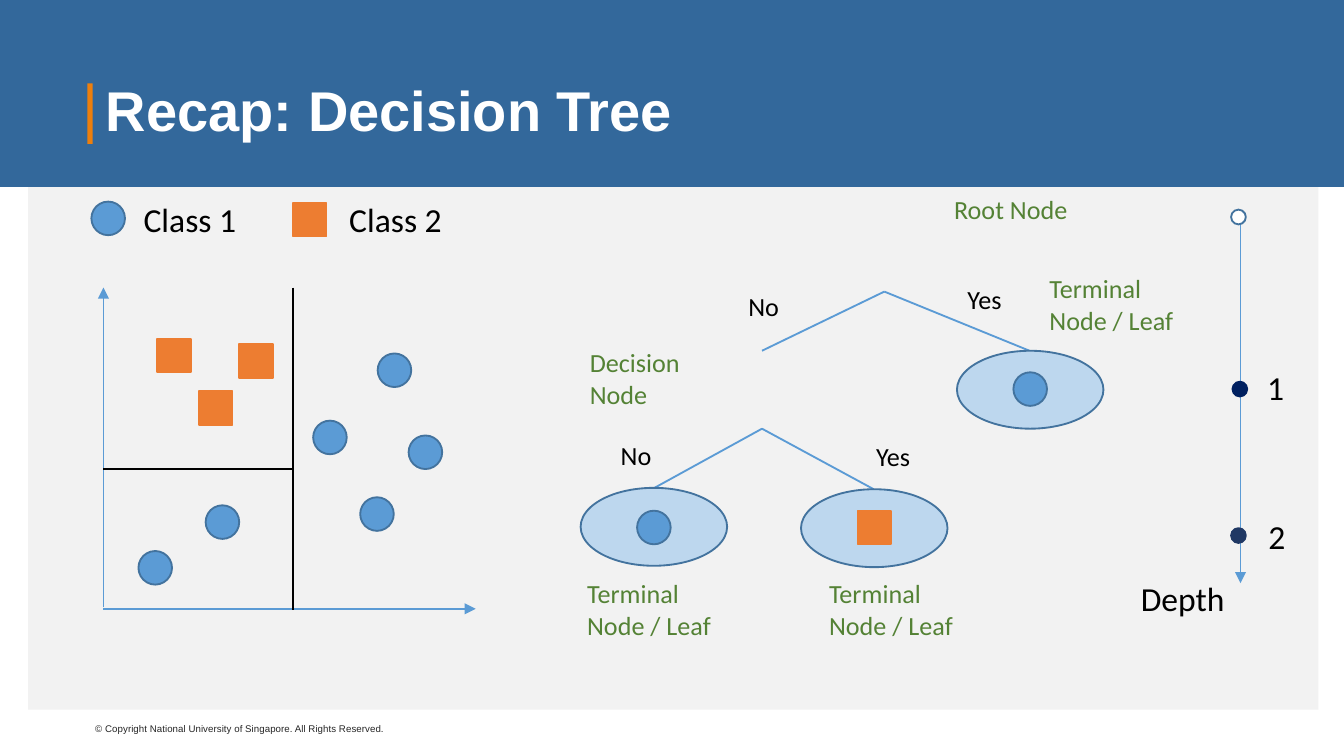
from typing import NamedTuple

from lxml import etree
from pptx import Presentation
from pptx import util as u
from pptx.dml.color import RGBColor
from pptx.enum import shapes, text
from pptx.oxml import ns

WHITE = RGBColor(0xFF, 0xFF, 0xFF)
BLACK = RGBColor(0x00, 0x00, 0x00)
CHARCOAL = RGBColor(0x26, 0x26, 0x26)
PANEL_GREY = RGBColor(0xF2, 0xF2, 0xF2)
BANNER_BLUE = RGBColor(0x33, 0x68, 0x9B)
ACCENT_ORANGE = RGBColor(0xED, 0x7F, 0x0D)
BLUE = RGBColor(0x5B, 0x9B, 0xD5)
OUTLINE_BLUE = RGBColor(0x43, 0x73, 0x9E)
PALE_BLUE = RGBColor(0xBD, 0xD7, 0xEE)
ORANGE = RGBColor(0xED, 0x7D, 0x31)
GREEN = RGBColor(0x54, 0x82, 0x35)
NAVY = RGBColor(0x00, 0x20, 0x60)
DARK_BLUE = RGBColor(0x20, 0x38, 0x64)

OVAL = shapes.MSO_SHAPE.OVAL
RECTANGLE = shapes.MSO_SHAPE.RECTANGLE
SLIDE_WIDTH = 10
MARKER_SIZE = 0.25
DEPTH_DOT_SIZE = 0.11
LEAF_WIDTH, LEAF_HEIGHT = 1.09, 0.58


class Box(NamedTuple):
    left: float
    top: float
    width: float
    height: float


class Style(NamedTuple):
    kind: shapes.MSO_SHAPE
    fill: RGBColor
    outline: RGBColor | None = None


class Label(NamedTuple):
    words: str
    box: Box
    size: float = 14
    color: RGBColor = BLACK
    wrap: bool = True
    font: str = "Calibri"
    bold: bool = False


class Line(NamedTuple):
    start: tuple[float, float]
    end: tuple[float, float]
    color: RGBColor = BLUE
    arrow: bool = False


CLASS_1 = Style(OVAL, BLUE, OUTLINE_BLUE)
CLASS_2 = Style(RECTANGLE, ORANGE, ORANGE)
LEAF = Style(OVAL, PALE_BLUE, OUTLINE_BLUE)

BACKDROP = [
    (Style(RECTANGLE, PANEL_GREY), Box(0.21, 1.39, 9.6, 3.89)),
    (Style(RECTANGLE, BANNER_BLUE), Box(0, 0, 10.08, 1.39)),
    (Style(RECTANGLE, ACCENT_ORANGE), Box(0.65, 0.62, 0.04, 0.45)),
]
LINES = [
    Line((0.77, 4.52), (0.77, 2.14), arrow=True),
    Line((0.77, 4.53), (3.54, 4.53), arrow=True),
    Line((2.18, 2.14), (2.18, 4.54), BLACK),
    Line((0.77, 3.49), (2.18, 3.49), BLACK),
    Line((6.58, 2.17), (7.66, 2.61)),
    Line((6.58, 2.17), (5.67, 2.61)),
    Line((5.67, 3.19), (4.87, 3.63)),
    Line((5.67, 3.19), (6.5, 3.64)),
    Line((9.23, 1.67), (9.23, 4.34), arrow=True),
]
LEAVES = [(7.12, 2.61), (5.96, 3.64), (4.32, 3.63)]
MARKERS = {
    CLASS_1: [(0.68, 1.5), (2.81, 2.63), (2.33, 3.13), (3.04, 3.24), (1.53, 3.76),
              (2.68, 3.7), (1.03, 4.1), (7.54, 2.77), (4.74, 3.8)],
    CLASS_2: [(2.18, 1.51), (1.17, 2.52), (1.48, 2.91), (1.78, 2.56), (6.38, 3.8)],
}
DEPTH_DOTS = [
    (Style(OVAL, WHITE, OUTLINE_BLUE), (9.16, 1.56)),
    (Style(OVAL, NAVY, NAVY), (9.17, 2.84)),
    (Style(OVAL, DARK_BLUE, DARK_BLUE), (9.16, 3.93)),
]
LABELS = [
    Label("© Copyright National University of Singapore. All Rights Reserved.",
          Box(0.61, 5.33, 2.38, 0.19), 5.25, CHARCOAL, False, "Arial"),
    Label("Recap: Decision Tree", Box(0.69, 0.3, 8.62, 1.09), 30, WHITE, True, "Arial", True),
    Label("Class 1", Box(0.97, 1.43, 1.08, 0.4), 18),
    Label("Class 2", Box(2.5, 1.43, 1.08, 0.4), 18),
    Label("Yes", Box(7.1, 2.06, 0.46, 0.34), wrap=False),
    Label("No", Box(5.47, 2.11, 0.43, 0.34), wrap=False),
    Label("No", Box(4.52, 3.22, 0.43, 0.34), wrap=False),
    Label("Yes", Box(6.42, 3.23, 0.46, 0.34), wrap=False),
    Label("Root Node", Box(7, 1.39, 1.58, 0.34), color=GREEN),
    Label("Terminal Node / Leaf", Box(7.71, 1.98, 1.22, 0.57), color=GREEN),
    Label("Terminal Node / Leaf", Box(4.27, 4.25, 1.19, 0.57), color=GREEN),
    Label("Terminal Node / Leaf", Box(6.07, 4.25, 1.19, 0.57), color=GREEN),
    Label("Decision Node", Box(4.29, 2.53, 1.18, 0.57), color=GREEN),
    Label("Depth", Box(8.39, 4.25, 0.86, 0.4), 18),
    Label("1", Box(9.33, 2.68, 0.37, 0.4), 18),
    Label("2", Box(9.34, 3.79, 0.37, 0.4), 18),
]


def draw_shape(slide, style: Style, box: Box) -> None:
    shape = slide.shapes.add_shape(style.kind, *map(u.Inches, box))
    shape.shadow.inherit = False
    shape.fill.solid()
    shape.fill.fore_color.rgb = style.fill
    if style.outline is None:
        shape.line.fill.background()
    else:
        shape.line.color.rgb = style.outline
        shape.line.width = u.Pt(1)


def draw_line(slide, line: Line) -> None:
    connector = slide.shapes.add_connector(
        shapes.MSO_CONNECTOR.STRAIGHT, *map(u.Inches, line.start + line.end))
    connector.line.color.rgb = line.color
    connector.line.width = u.Pt(1)
    if line.arrow:
        outline = connector.line._get_or_add_ln()
        etree.SubElement(outline, ns.qn("a:tailEnd"), type="triangle")
    etree.SubElement(connector._element.spPr, ns.qn("a:effectLst"))


def draw_label(slide, label: Label) -> None:
    frame = slide.shapes.add_textbox(*map(u.Inches, label.box)).text_frame
    frame.word_wrap = label.wrap
    frame.vertical_anchor = text.MSO_ANCHOR.MIDDLE if label.bold else text.MSO_ANCHOR.TOP
    paragraph = frame.paragraphs[0]
    paragraph.line_spacing = 0.9 if label.bold else 1.0
    run = paragraph.add_run()
    run.text = label.words
    run.font.name = label.font
    run.font.size = u.Pt(label.size)
    run.font.bold = label.bold
    run.font.color.rgb = label.color


def main() -> None:
    """Build the decision tree recap slide."""
    presentation = Presentation()
    presentation.slide_width = u.Inches(SLIDE_WIDTH)
    presentation.slide_height = u.Inches(SLIDE_WIDTH * 9 / 16)
    slide = presentation.slides.add_slide(presentation.slide_layouts[6])
    for style, box in BACKDROP:
        draw_shape(slide, style, box)
    for line in LINES:
        draw_line(slide, line)
    for corner in LEAVES:
        draw_shape(slide, LEAF, Box(*corner, LEAF_WIDTH, LEAF_HEIGHT))
    for style, corners in MARKERS.items():
        for corner in corners:
            draw_shape(slide, style, Box(*corner, MARKER_SIZE, MARKER_SIZE))
    for style, corner in DEPTH_DOTS:
        draw_shape(slide, style, Box(*corner, DEPTH_DOT_SIZE, DEPTH_DOT_SIZE))
    for label in LABELS:
        draw_label(slide, label)
    presentation.save("out.pptx")


if __name__ == "__main__":
    main()
